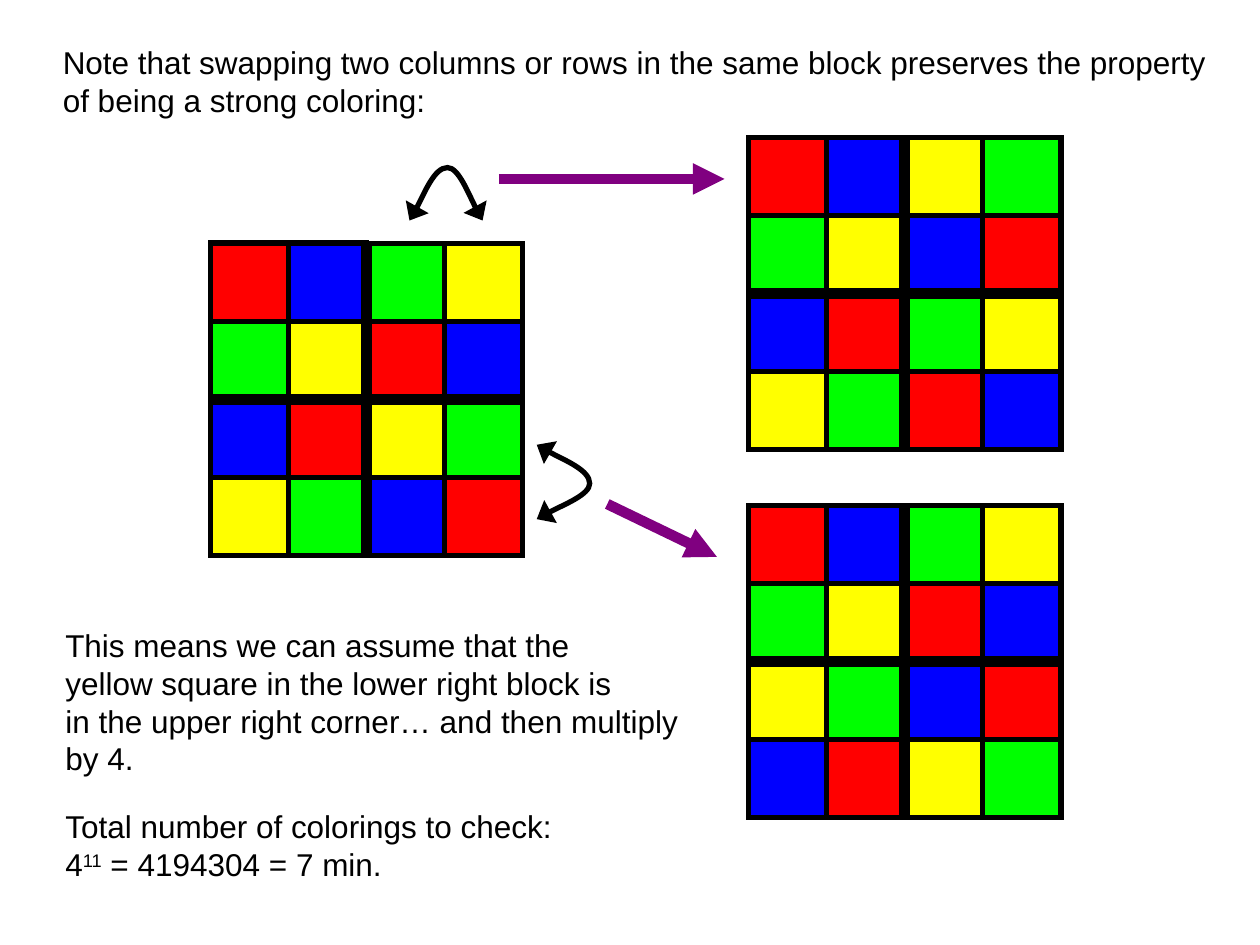
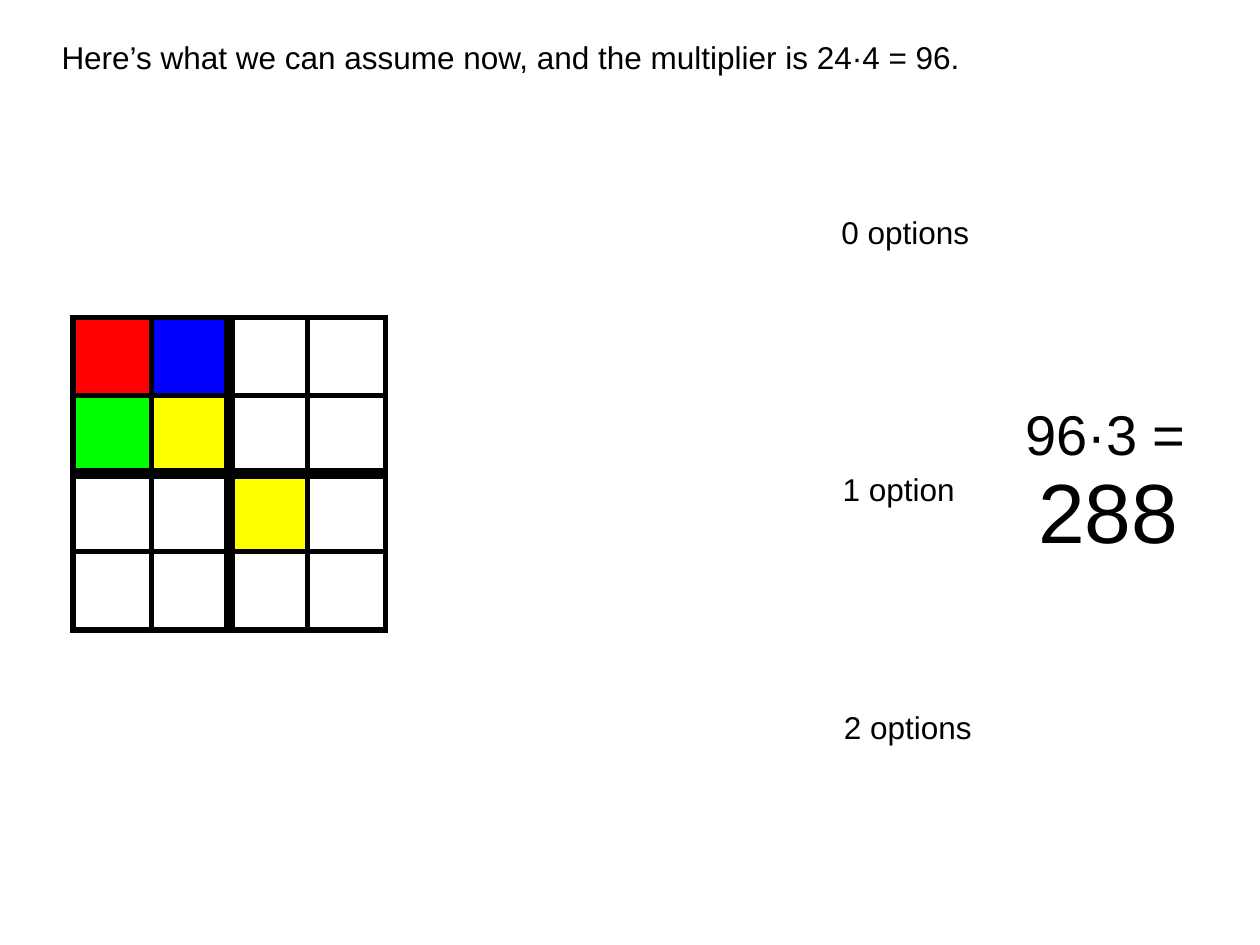
"""Build two slides about counting strong colorings of a 4 by 4 grid."""
from dataclasses import dataclass

from lxml.etree import SubElement
from pptx import Presentation
from pptx.dml.color import RGBColor
from pptx.enum.shapes import MSO_CONNECTOR as CONN, MSO_SHAPE as SHAPE
from pptx.enum.text import MSO_AUTO_SIZE as AUTO
from pptx.oxml.ns import qn
from pptx.util import Inches, Pt


@dataclass(frozen=True)
class Theme:
    """Colours, type sizes and line widths shared by the slides."""
    font: str = "Arial"
    ink: str = "000000"
    arrow: str = "800080"
    body: int = 18
    product: int = 32
    answer: int = 48
    thin: int = 3
    thick: int = 6
    side: float = 2.48


THEME = Theme()
CELL_COLORS = {"R": "FF0000", "G": "00FF00", "B": "0000FF", "Y": "FFFF00", ".": "FFFFFF"}
COLORING = ["RBGY", "GYRB", "BRYG", "YGBR"]
KNOWN_CELLS = ["RB..", "GY..", "..Y.", "...."]
ARC = [(0, 1), (0.09, 0.83), (0.34, 0), (0.52, 0), (0.67, 0), (0.9, 0.79), (1, 1)]


def set_line(sp, color, width, *arrow_ends, head_width="med"):
    """Give a shape or connector its line, sharp corners and any arrowheads."""
    sp.line.color.rgb = RGBColor.from_string(color)
    sp.line.width = Pt(width)
    ln = sp.line._get_or_add_ln()
    SubElement(ln, qn("a:miter"), lim="800000")
    for end in arrow_ends:
        SubElement(ln, qn(f"a:{end}"), type="triangle", w=head_width)


def add_square(s, left, top, side, color=None):
    """Add an outlined square, filled if a colour is given."""
    sp = s.shapes.add_shape(SHAPE.RECTANGLE, *map(Inches, (left, top, side, side)))
    sp.shadow.inherit = False
    if color:
        sp.fill.solid()
        sp.fill.fore_color.rgb = RGBColor.from_string(color)
    else:
        sp.fill.background()
    set_line(sp, THEME.ink, THEME.thin)
    return sp


def add_line(s, start, end, color, *arrow_ends):
    """Add a thick straight connector without a shadow."""
    cxn = s.shapes.add_connector(CONN.STRAIGHT, *map(Inches, (*start, *end)))
    set_line(cxn, color, THEME.thick, *arrow_ends)
    SubElement(cxn._element.spPr, qn("a:effectLst"))
    return cxn


def add_grid(s, left, top, rows):
    """Draw a colored grid split into four blocks by thick lines."""
    frame = add_square(s, left, top, THEME.side)
    add_square(s, left, top, THEME.side / 2)
    cell = THEME.side / len(rows)
    for i, row in enumerate(rows):
        for j, key in enumerate(row):
            add_square(s, left + j * cell, top + i * cell, cell, CELL_COLORS[key])
    for first, last in ((0, 2), (1, 3)):
        divider = add_line(s, (left, top), (left, top), THEME.ink)
        divider.begin_connect(frame, first)
        divider.end_connect(frame, last)


def add_swap_arc(s, left, top, width, height, sideways=False):
    """Draw a double-headed arc in a box, bulging up or to the right."""
    curve = [(1 - y, x) for x, y in ARC] if sideways else ARC
    points = [(Inches(left + x * width), Inches(top + y * height)) for x, y in curve]
    builder = s.shapes.build_freeform(*points[0])
    builder.add_line_segments(points[1:], close=False)
    sp = builder.convert_to_shape()
    sp.shadow.inherit = False
    sp.fill.background()
    set_line(sp, THEME.ink, THEME.thin, "headEnd", "tailEnd", head_width="lg")
    segments = list(sp._element.iter(qn("a:lnTo")))
    outline = segments[0].getparent()
    for i in range(0, len(segments), 3):
        bezier = SubElement(outline, qn("a:cubicBezTo"))
        for segment in segments[i:i + 3]:
            bezier.append(segment[0])
            outline.remove(segment)


def add_text(s, left, top, width, height, lines, size=THEME.body):
    """Add lines of text, with superscripts between carets."""
    tf = s.shapes.add_textbox(*map(Inches, (left, top, width, height))).text_frame
    tf.word_wrap = True
    tf.auto_size = AUTO.SHAPE_TO_FIT_TEXT
    for i, line in enumerate(lines):
        p = tf.add_paragraph() if i else tf.paragraphs[0]
        for j, part in enumerate(line.split("^")):
            r = p.add_run()
            r.text = part
            for name, value in {"name": THEME.font, "size": Pt(size)}.items():
                setattr(r.font, name, value)
            r.font.color.rgb = RGBColor.from_string(THEME.ink)
            if j % 2:
                r.font._element.set("baseline", "30000")


def build_swaps(s):
    """Show that swapping columns or rows in a block keeps a strong coloring."""
    swapped_columns = [row[:2] + row[:1:-1] for row in COLORING]
    swapped_rows = COLORING[:2] + COLORING[:1:-1]
    add_grid(s, 1.67, 1.93, COLORING)
    add_grid(s, 5.94, 1.09, swapped_columns)
    add_grid(s, 5.94, 4.01, swapped_rows)
    add_swap_arc(s, 3.25, 1.33, 0.58, 0.42)
    add_swap_arc(s, 4.26, 3.53, 0.42, 0.59, sideways=True)
    add_line(s, (3.96, 1.42), (5.75, 1.42), THEME.arrow, "tailEnd")
    add_line(s, (4.82, 4), (5.69, 4.42), THEME.arrow, "tailEnd")
    add_text(s, 0.4, 0.29, 9.4, 0.7, [
        "Note that swapping two columns or rows in the same block preserves the property",
        "of being a strong coloring:"])
    add_text(s, 0.42, 4.92, 5.2, 1.3, [
        "This means we can assume that the",
        "yellow square in the lower right block is",
        "in the upper right corner… and then multiply",
        "by 4."])
    add_text(s, 0.42, 6.36, 4.5, 0.7, [
        "Total number of colorings to check:",
        "4^11^ = 4194304 = 7 min."])


def build_count(s):
    """Show the cells now known, the options and the final count."""
    add_grid(s, 0.58, 2.52, KNOWN_CELLS)
    add_text(s, 0.39, 0.25, 7.5, 0.4,
             ["Here’s what we can assume now, and the multiplier is 24·4 = 96."])
    for left, top, label in ((6.58, 1.64, "0 options"),
                             (6.59, 3.68, "1 option"),
                             (6.6, 5.57, "2 options")):
        add_text(s, left, top, 1.3, 0.4, [label])
    add_text(s, 8.04, 3.12, 1.6, 0.64, ["96·3 ="], THEME.product)
    add_text(s, 8.14, 3.6, 1.4, 0.9, ["288"], THEME.answer)


def main():
    """Build and save the presentation."""
    prs = Presentation()
    prs.slide_width, prs.slide_height = Inches(10), Inches(7.5)
    for build in (build_swaps, build_count):
        build(prs.slides.add_slide(prs.slide_layouts[6]))
    prs.save("out.pptx")


if __name__ == "__main__":
    main()
